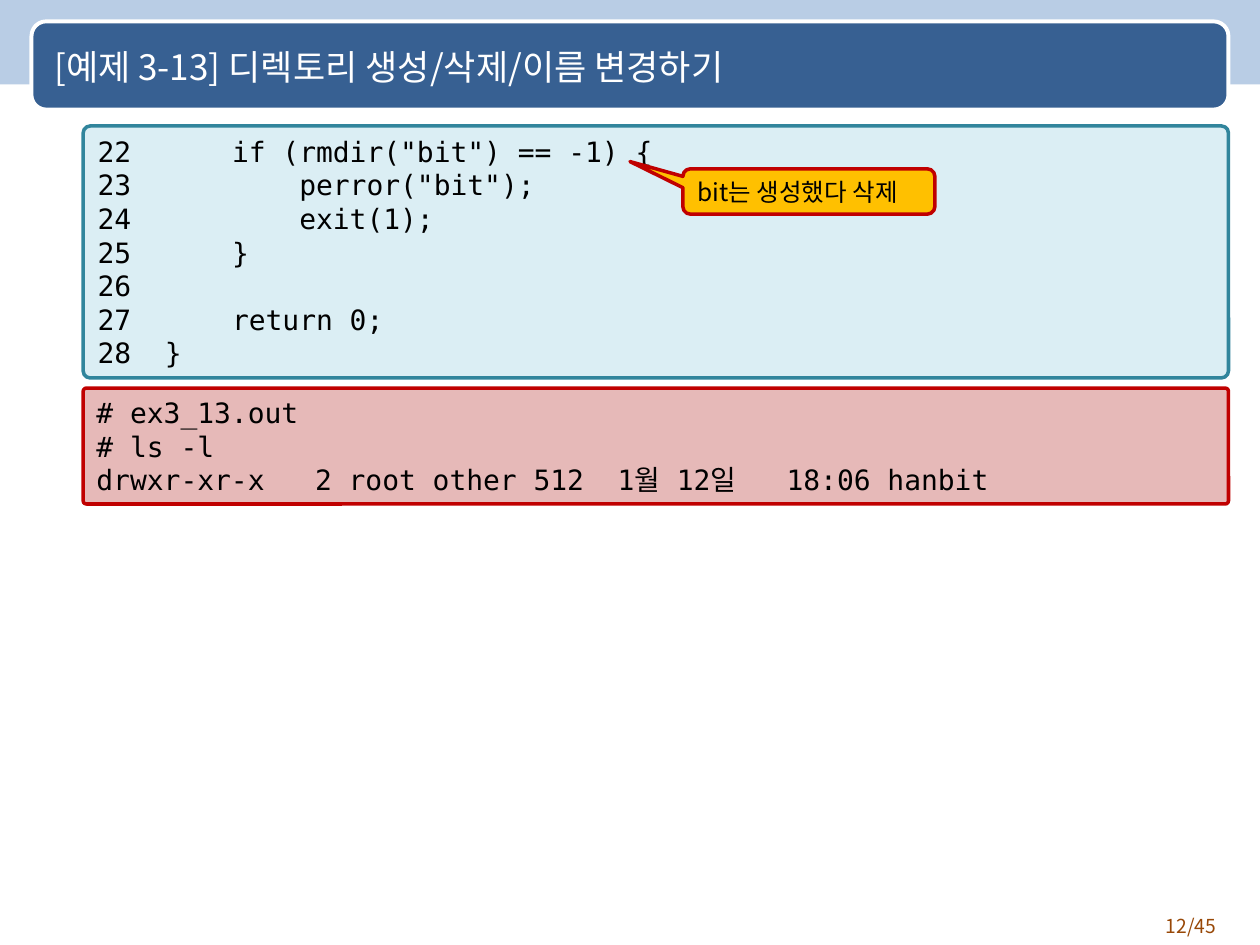
from dataclasses import dataclass

import lxml.etree
import pptx
import pptx.dml.color
import pptx.enum.shapes
import pptx.enum.text
import pptx.oxml.ns
import pptx.util

RGBColor = pptx.dml.color.RGBColor
Shapes = pptx.enum.shapes.MSO_SHAPE
Align = pptx.enum.text.PP_ALIGN
Anchor = pptx.enum.text.MSO_ANCHOR

WHITE = RGBColor(0xFF, 0xFF, 0xFF)
BLACK = RGBColor(0x00, 0x00, 0x00)
PALE_BLUE = RGBColor(0xB9, 0xCD, 0xE5)
NAVY = RGBColor(0x37, 0x60, 0x92)
PALE_TEAL = RGBColor(0xDB, 0xEE, 0xF4)
TEAL = RGBColor(0x31, 0x85, 0x9C)
PINK = RGBColor(0xE6, 0xB9, 0xB8)
RED = RGBColor(0xC0, 0x00, 0x00)
AMBER = RGBColor(0xFF, 0xC0, 0x00)
BROWN = RGBColor(0x98, 0x48, 0x07)

SANS = "Noto Sans CJK KR"
MONO = "DejaVu Sans Mono"
WIDTH, HEIGHT = 10, 7.5
RIGHT_EDGE = 0.975 * WIDTH
PANEL_LEFT = 0.066 * WIDTH
PANEL_WIDTH = RIGHT_EDGE - PANEL_LEFT
PANEL_CORNER = 0.028

SOURCE_LINES = (
    '22      if (rmdir("bit") == -1) {',
    '23          perror("bit");',
    "24          exit(1);",
    "25      }",
    "26",
    "27      return 0;",
    "28  }",
)
OUTPUT_LINES = (
    "# ex3_13.out",
    "# ls -l",
    "drwxr-xr-x   2 root other 512  1월 12일   18:06 hanbit",
)


@dataclass(frozen=True)
class TextStyle:
    font: str
    size: float
    color: RGBColor = BLACK
    align: Align = Align.LEFT


@dataclass(frozen=True)
class Box:
    left: float
    top: float
    width: float
    height: float

    def lengths(self) -> list[int]:
        return [pptx.util.Inches(value) for value in (self.left, self.top, self.width, self.height)]


@dataclass(frozen=True)
class Panel:
    box: Box
    fill: RGBColor
    line: RGBColor | None = None
    line_width: float = 2
    kind: Shapes = Shapes.ROUNDED_RECTANGLE
    adjustments: tuple[float, ...] = ()
    lines: tuple[str, ...] = ()
    style: TextStyle | None = None


CODE = TextStyle(MONO, 16, align=Align.JUSTIFY)
NOTE = TextStyle(SANS, 14)
HEADING = TextStyle(SANS, 20, WHITE)
PAGE_NUMBER = TextStyle(SANS, 11, BROWN, Align.RIGHT)

HEADER_PANELS = (
    Panel(Box(0, 0, WIDTH, 0.67), PALE_BLUE, kind=Shapes.RECTANGLE),
    Panel(Box(0.25, 0.17, RIGHT_EDGE - 0.25, 0.7), NAVY, WHITE, 2.25, adjustments=(0.167,)),
)
CONTENT_PANELS = (
    Panel(Box(PANEL_LEFT, 1, PANEL_WIDTH, 2), PALE_TEAL, TEAL,
          adjustments=(PANEL_CORNER,), lines=SOURCE_LINES, style=CODE),
    Panel(Box(PANEL_LEFT, 3.08, PANEL_WIDTH, 0.92), PINK, RED,
          adjustments=(PANEL_CORNER,), lines=OUTPUT_LINES, style=CODE),
    Panel(Box(5.42, 1.34, 2, 0.36), AMBER, RED, kind=Shapes.ROUNDED_RECTANGULAR_CALLOUT,
          adjustments=(-0.71, -0.66, 0.167), lines=("bit는 생성했다 삭제",), style=NOTE),
)


def write_lines(shape, lines: tuple[str, ...], style: TextStyle, anchor: Anchor) -> None:
    frame = shape.text_frame
    frame.word_wrap = True
    frame.auto_size = pptx.enum.text.MSO_AUTO_SIZE.NONE
    frame.vertical_anchor = anchor
    for index, line in enumerate(lines):
        paragraph = frame.add_paragraph() if index else frame.paragraphs[0]
        paragraph.alignment = style.align
        run = paragraph.add_run()
        run.text = line
        run.font.name = style.font
        run.font.size = pptx.util.Pt(style.size)
        run.font.color.rgb = style.color
        properties = run.font._element
        east_asian = lxml.etree.SubElement(properties, pptx.oxml.ns.qn("a:ea"))
        east_asian.set("typeface", style.font)


def draw_panel(slide, panel: Panel) -> None:
    shape = slide.shapes.add_shape(panel.kind, *panel.box.lengths())
    shape.shadow.inherit = False
    shape.fill.solid()
    shape.fill.fore_color.rgb = panel.fill
    if panel.line is None:
        shape.line.fill.background()
    else:
        shape.line.color.rgb = panel.line
        shape.line.width = pptx.util.Pt(panel.line_width)
    for index, value in enumerate(panel.adjustments):
        shape.adjustments[index] = value
    if panel.style is not None:
        write_lines(shape, panel.lines, panel.style, Anchor.MIDDLE)


def place_title(slide, text: str, box: Box) -> None:
    title = slide.shapes.title
    title.left, title.top, title.width, title.height = box.lengths()
    write_lines(title, (text,), HEADING, Anchor.MIDDLE)
    title.element.getparent().append(title.element)


def main() -> None:
    presentation = pptx.Presentation()
    presentation.slide_width = pptx.util.Inches(WIDTH)
    presentation.slide_height = pptx.util.Inches(HEIGHT)
    slide = presentation.slides.add_slide(presentation.slide_layouts[5])
    for panel in HEADER_PANELS:
        draw_panel(slide, panel)
    page_box = Box(8.92, 7.21, RIGHT_EDGE - 8.92, 0.29)
    page_number = slide.shapes.add_textbox(*page_box.lengths())
    write_lines(page_number, ("12/45",), PAGE_NUMBER, Anchor.TOP)
    place_title(slide, "[예제 3-13] 디렉토리 생성/삭제/이름 변경하기", Box(0.33, 0.19, 9.25, 0.67))
    for panel in CONTENT_PANELS:
        draw_panel(slide, panel)
    presentation.save("out.pptx")


if __name__ == "__main__":
    main()
